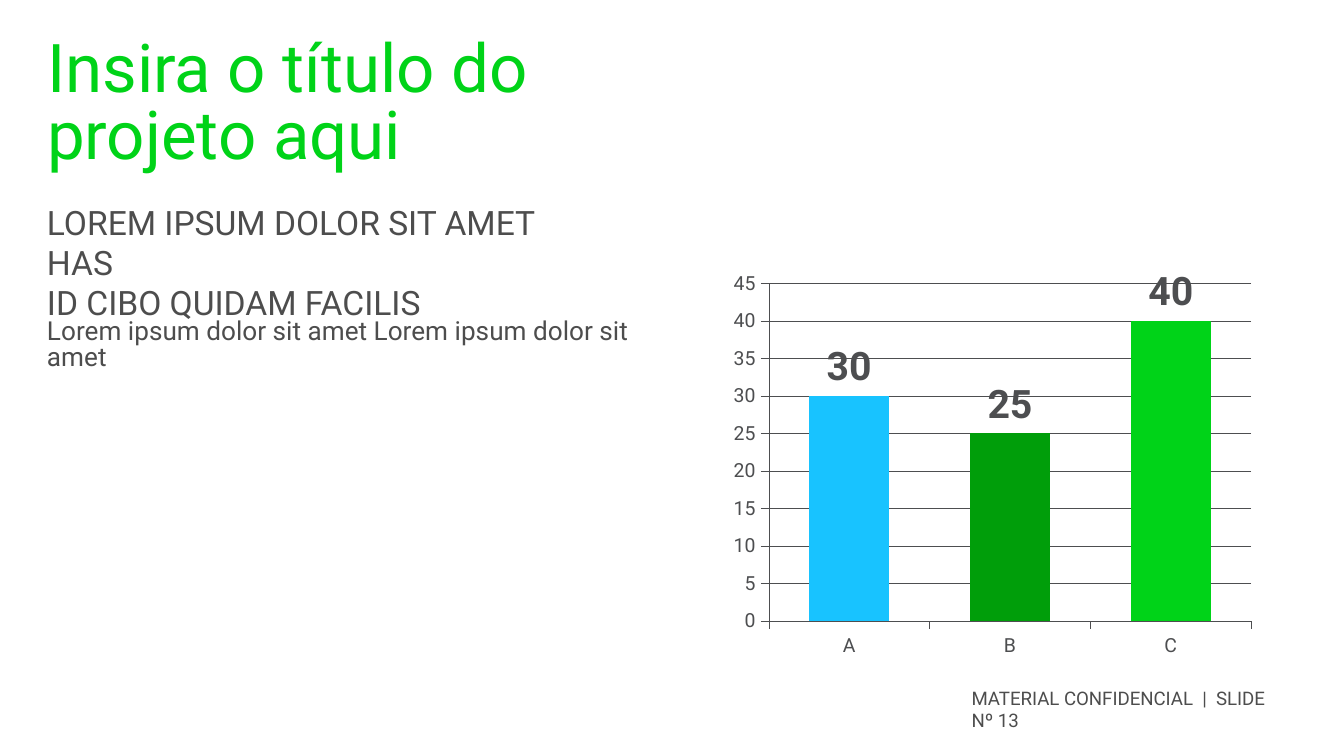
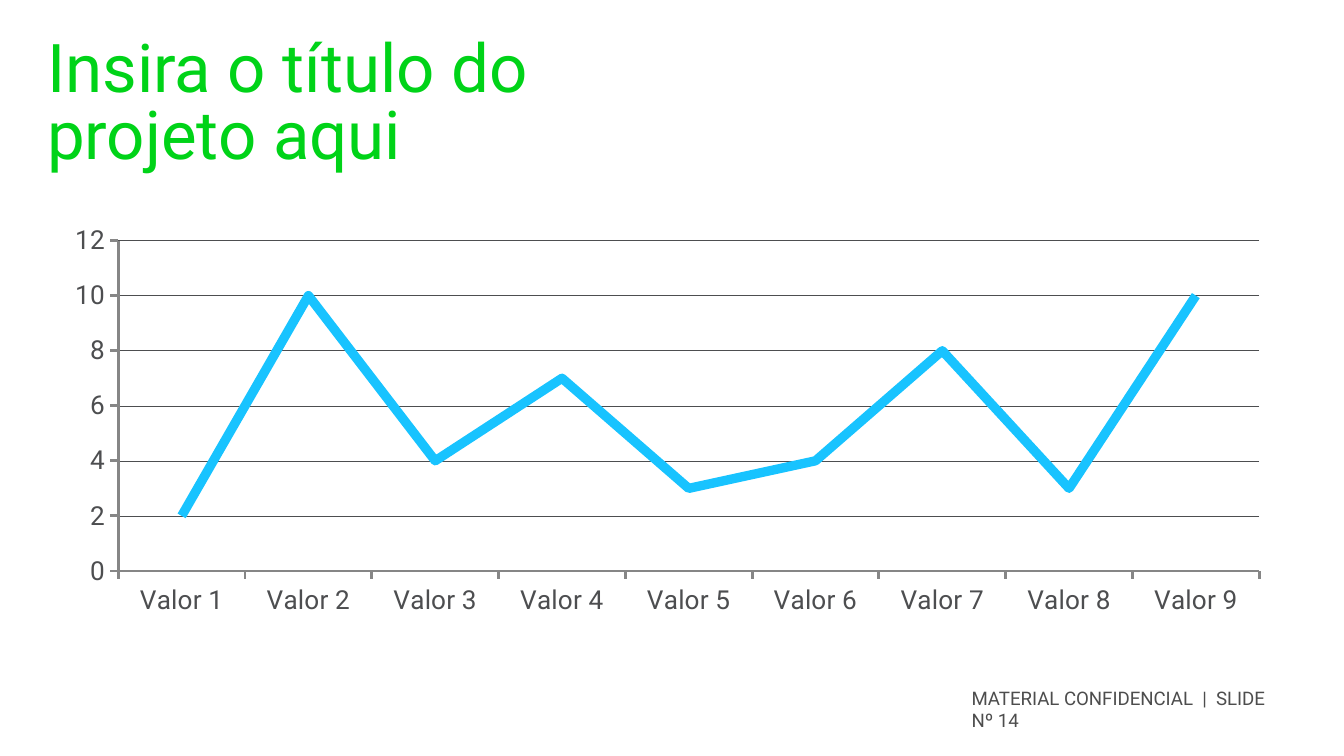
"""Build two project slides: a column chart with text and a line chart."""
from dataclasses import dataclass

import lxml.etree
import pptx
import pptx.chart.axis
import pptx.chart.chart
import pptx.chart.data
import pptx.chart.series
import pptx.dml.color
import pptx.dml.line
import pptx.enum.chart
import pptx.enum.text
import pptx.oxml.ns
import pptx.presentation
import pptx.slide
import pptx.text.text
import pptx.util

FONT = "Roboto"
GREEN = "00D318"
DARK_GREEN = "009E0A"
BLUE = "18C3FF"
PURPLE = "A02BFF"
TEXT_GREY = "4D4D4D"
CHART_GREY = "4D4E50"
AXIS_GREY = "868686"
TITLE = "Insira o título do projeto aqui"
SERIES_NAME = "Series 1"


@dataclass(frozen=True)
class Box:
    """Position and size in inches."""
    left: float
    top: float
    width: float
    height: float

    def lengths(self) -> tuple[pptx.util.Length, ...]:
        """Give the four measures as lengths."""
        return tuple(map(pptx.util.Inches, (self.left, self.top, self.width, self.height)))


@dataclass(frozen=True)
class Copy:
    """A block of text with one format."""
    text: str
    box: Box
    size: float
    color: str = TEXT_GREY
    line_spacing: float | None = None


@dataclass(frozen=True)
class ChartStyle:
    """Data, place and axis format of a chart; plot is measured inside box."""
    kind: pptx.enum.chart.XL_CHART_TYPE
    box: Box
    plot: Box
    categories: tuple[str, ...]
    values: tuple[int, ...]
    maximum: int
    step: int
    font_size: float
    axis_color: str
    axis_width: float


HEADING = Copy(TITLE, Box(0.35, 0.29, 4.16, 1.03), 36, GREEN, 36)
SUBTITLE = Copy("LOREM IPSUM DOLOR SIT AMET HAS \vID CIBO QUIDAM FACILIS",
                Box(0.35, 1.5, 4.16, 0.61), 18)
BODY = Copy("Lorem ipsum dolor sit amet Lorem ipsum dolor sit amet",
            Box(0.35, 2.38, 4.67, 1.31), 14, line_spacing=14)
COLUMNS = ChartStyle(
    pptx.enum.chart.XL_CHART_TYPE.COLUMN_CLUSTERED,
    Box(5.19, 1.98, 4.48, 2.99), Box(0.53, 0.13, 3.59, 2.51),
    ("A", "B", "C"), (30, 25, 40), 45, 5, 10.4, CHART_GREY, 0.25)
TREND = ChartStyle(
    pptx.enum.chart.XL_CHART_TYPE.LINE,
    Box(0.38, 1.62, 9.17, 3.03), Box(0.5, 0.17, 8.49, 2.46),
    tuple(f"Valor {number}" for number in range(1, 10)),
    (2, 10, 4, 7, 3, 4, 8, 3, 10), 12, 2, 14, AXIS_GREY, 1.5)


def rgb(color: str) -> pptx.dml.color.RGBColor:
    """Turn a hex string into a colour."""
    return pptx.dml.color.RGBColor.from_string(color)


def set_font(font: pptx.text.text.Font, size: float, color: str, bold: bool = False) -> None:
    """Apply the shared typeface with a size and colour."""
    font.name = FONT
    font.size = pptx.util.Pt(size)
    font.bold = bold
    font.color.rgb = rgb(color)


def set_line(line: pptx.dml.line.LineFormat, color: str, width: float) -> None:
    """Give a line a solid colour and a width in points."""
    line.color.rgb = rgb(color)
    line.width = pptx.util.Pt(width)


def write(frame: pptx.text.text.TextFrame, block: Copy) -> None:
    """Write a block of text, flush with the top left of its frame."""
    frame.margin_left = frame.margin_top = frame.margin_right = frame.margin_bottom = 0
    frame.word_wrap = True
    frame.auto_size = pptx.enum.text.MSO_AUTO_SIZE.NONE
    frame.vertical_anchor = pptx.enum.text.MSO_ANCHOR.TOP
    frame.text = block.text
    paragraph = frame.paragraphs[0]
    paragraph.alignment = pptx.enum.text.PP_ALIGN.LEFT
    if block.line_spacing:
        paragraph.line_spacing = pptx.util.Pt(block.line_spacing)
    set_font(paragraph.font, block.size, block.color)


def add_text(slide: pptx.slide.Slide, block: Copy) -> None:
    """Add a text box holding a block of text."""
    write(slide.shapes.add_textbox(*block.box.lengths()).text_frame, block)


def add_slide(deck: pptx.presentation.Presentation, number: int) -> pptx.slide.Slide:
    """Add a slide with the shared title and numbered footer."""
    slide = deck.slides.add_slide(deck.slide_layouts.get_by_name("Title Only"))
    title = slide.shapes.title
    title.left, title.top, title.width, title.height = HEADING.box.lengths()
    write(title.text_frame, HEADING)
    add_text(slide, Copy(f"MATERIAL CONFIDENCIAL  |  SLIDE Nº {number}",
                         Box(7.23, 5.11, 2.33, 0.3), 10))
    return slide


def place_plot(chart: pptx.chart.chart.Chart, box: Box, plot: Box) -> None:
    """Fix the inner plot area inside the chart's box."""
    qn = pptx.oxml.ns.qn
    area = chart.element.find(".//" + qn("c:plotArea"))
    for previous in area.findall(qn("c:layout")):
        area.remove(previous)
    layout = lxml.etree.Element(qn("c:layout"))
    manual = lxml.etree.SubElement(layout, qn("c:manualLayout"))
    settings = {"layoutTarget": "inner", "xMode": "edge", "yMode": "edge",
                "x": plot.left / box.width, "y": plot.top / box.height,
                "w": plot.width / box.width, "h": plot.height / box.height}
    for tag, value in settings.items():
        lxml.etree.SubElement(manual, qn(f"c:{tag}"), val=str(value))
    area.insert(0, layout)


def add_chart(slide: pptx.slide.Slide, style: ChartStyle) -> pptx.chart.chart.Chart:
    """Add a one-series chart with formatted axes."""
    data = pptx.chart.data.CategoryChartData()
    data.categories = style.categories
    data.add_series(SERIES_NAME, style.values)
    chart = slide.shapes.add_chart(style.kind, *style.box.lengths(), data).chart
    chart.has_title = False
    chart.has_legend = False
    set_font(chart.font, style.font_size, CHART_GREY)
    chart.plots[0].vary_by_categories = False
    for axis in (chart.category_axis, chart.value_axis):
        axis.major_tick_mark = pptx.enum.chart.XL_TICK_MARK.OUTSIDE
        axis.minor_tick_mark = pptx.enum.chart.XL_TICK_MARK.NONE
        set_font(axis.tick_labels.font, style.font_size, CHART_GREY)
        set_line(axis.format.line, style.axis_color, style.axis_width)
    chart.value_axis.minimum_scale = 0
    chart.value_axis.maximum_scale = style.maximum
    chart.value_axis.major_unit = style.step
    chart.value_axis.has_major_gridlines = True
    set_line(chart.value_axis.major_gridlines.format.line, CHART_GREY, 0.25)
    place_plot(chart, style.box, style.plot)
    return chart


def paint_columns(chart: pptx.chart.chart.Chart) -> None:
    """Colour each column and show its value above it."""
    plot = chart.plots[0]
    plot.gap_width = 100
    series = plot.series[0]
    series.format.fill.solid()
    series.format.fill.fore_color.rgb = rgb(PURPLE)
    for index, color in enumerate((BLUE, DARK_GREEN, GREEN)):
        fill = series.points[index].format.fill
        fill.solid()
        fill.fore_color.rgb = rgb(color)
    labels = series.data_labels
    labels.show_value = True
    labels.position = pptx.enum.chart.XL_LABEL_POSITION.OUTSIDE_END
    set_font(labels.font, 21, CHART_GREY, bold=True)


def paint_trend(chart: pptx.chart.chart.Chart) -> None:
    """Draw the series as a thick straight line without markers."""
    series = chart.plots[0].series[0]
    series.smooth = False
    series.marker.style = pptx.enum.chart.XL_MARKER_STYLE.NONE
    set_line(series.format.line, BLUE, 5)


def main() -> None:
    """Build and save the deck."""
    deck = pptx.Presentation()
    deck.slide_width = pptx.util.Inches(10)
    deck.slide_height = pptx.util.Inches(10 * 9 / 16)

    columns_slide = add_slide(deck, 13)
    add_text(columns_slide, SUBTITLE)
    add_text(columns_slide, BODY)
    paint_columns(add_chart(columns_slide, COLUMNS))

    trend_slide = add_slide(deck, 14)
    paint_trend(add_chart(trend_slide, TREND))

    deck.save("out.pptx")


if __name__ == "__main__":
    main()
